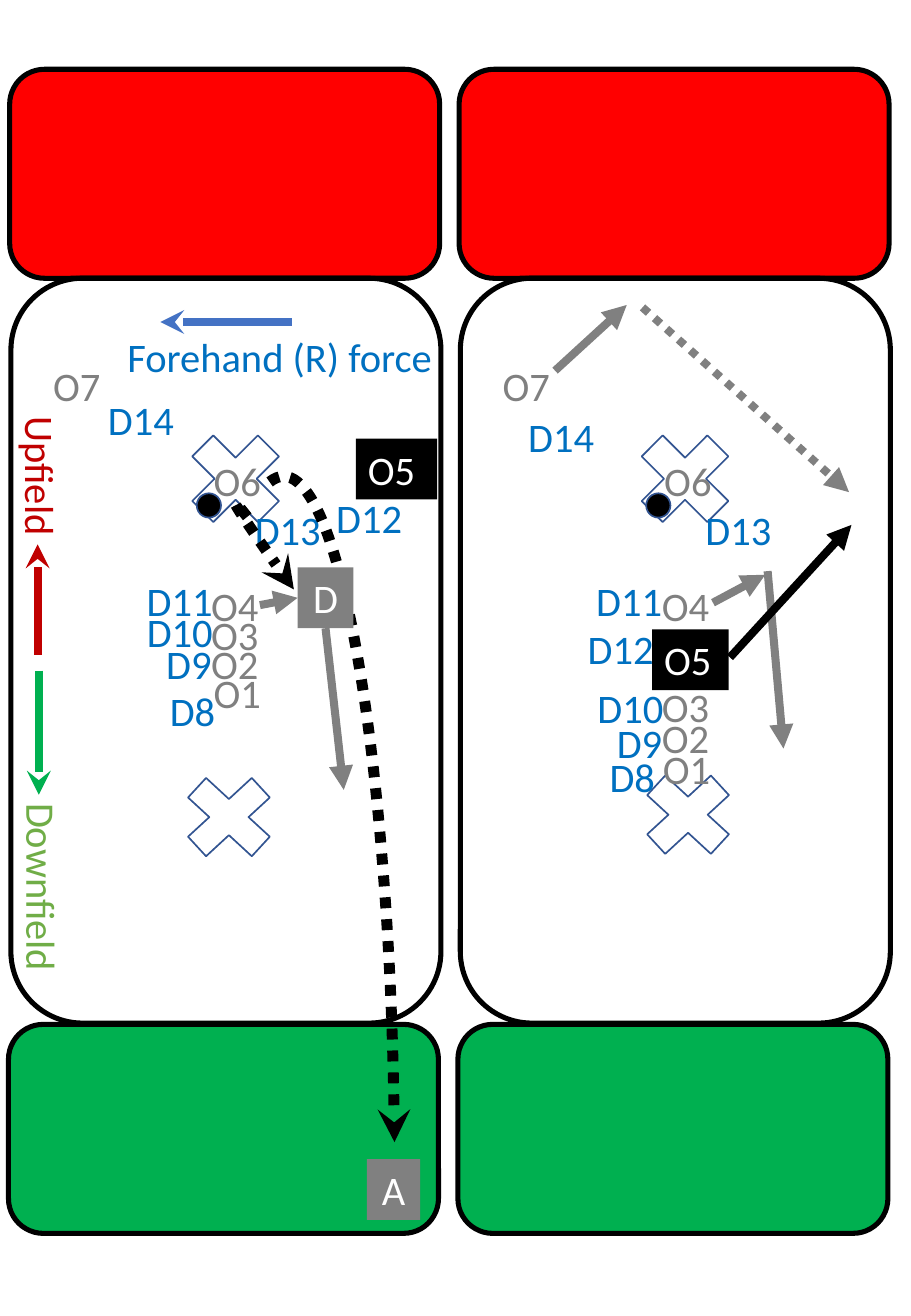
from lxml import etree
from pptx import Presentation
from pptx import util as u
from pptx.dml.color import RGBColor
from pptx.enum import dml, shapes, text
from pptx.oxml.ns import qn

PX = 9144  # EMU per px, 100 px to the inch
BLACK = RGBColor(0x00, 0x00, 0x00)
WHITE = RGBColor(0xFF, 0xFF, 0xFF)
GREY = RGBColor(0x80, 0x80, 0x80)
RED = RGBColor(0xFF, 0x00, 0x00)
DARK_RED = RGBColor(0xC0, 0x00, 0x00)
GREEN = RGBColor(0x00, 0xB0, 0x50)
LIGHT_GREEN = RGBColor(0x70, 0xAD, 0x47)
BLUE = RGBColor(0x00, 0x70, 0xC0)
ARROW_BLUE = RGBColor(0x44, 0x72, 0xC4)
OUTLINE_BLUE = RGBColor(0x32, 0x54, 0x91)

LABEL_HEIGHT = 50
PANEL_SHIFT = 370
KIND = shapes.MSO_SHAPE

deck = Presentation()
deck.slide_width, deck.slide_height = 750 * PX, 1083 * PX
page = deck.slides.add_slide(deck.slide_layouts[6])


def add_label(wording, left, top, width, color, fill=None, centred=False):
    box = page.shapes.add_textbox(left * PX, top * PX, width * PX, LABEL_HEIGHT * PX)
    if fill is not None:
        box.fill.solid()
        box.fill.fore_color.rgb = fill
    frame = box.text_frame
    frame.text = wording
    frame.word_wrap = True
    frame.auto_size = text.MSO_AUTO_SIZE.SHAPE_TO_FIT_TEXT
    para = frame.paragraphs[0]
    if centred:
        para.alignment = text.PP_ALIGN.CENTER
    font = para.runs[0].font
    font.name, font.size, font.color.rgb = "Calibri", u.Pt(24), color
    return box


def style_arrow(arrow, color, width, head, dotted):
    arrow.line.color.rgb = color
    arrow.line.width = u.Pt(width)
    if dotted:
        arrow.line.dash_style = dml.MSO_LINE.ROUND_DOT
    outline = arrow._element.spPr.find(qn("a:ln"))
    etree.SubElement(outline, qn("a:tailEnd")).set("type", head)


# Player labels: wording, left, top, width
left_players = [
    ("O2", 164, 521, 79), ("O1", 166, 545, 63), ("O3", 164, 497, 79),
    ("O4", 164, 473, 85), ("O6", 166, 370, 92), ("O7", 34, 292, 83),
    ("D8", 130, 560, 79), ("D9", 127, 521, 79), ("D10", 111, 495, 75),
    ("D11", 111, 469, 77), ("D12", 267, 401, 77), ("D13", 200, 411, 80),
    ("D14", 79, 320, 104),
]
right_players = [
    ("O2", 535, 582, 79), ("O1", 536, 607, 63), ("O3", 535, 556, 79),
    ("O4", 535, 473, 85), ("O6", 537, 370, 92), ("O7", 404, 292, 83),
    ("D8", 492, 614, 79), ("D9", 498, 586, 79), ("D10", 482, 557, 75),
    ("D11", 481, 469, 77), ("D12", 474, 509, 77), ("D13", 571, 411, 80),
    ("D14", 425, 334, 104),
]

# Two fields: end zones, playing area, brick marks, disc and players
for shift, brick_left, brick_top, players in (
    (0, 138, 626, left_players),
    (PANEL_SHIFT, 516, 624, right_players),
):
    field_parts = [
        (KIND.ROUNDED_RECTANGLE, 7 + shift, 843, 354, 172, GREEN, BLACK, 3),
        (KIND.ROUNDED_RECTANGLE, 8 + shift, 57, 354, 172, RED, BLACK, 3),
        (KIND.ROUNDED_RECTANGLE, 9 + shift, 229, 354, 613, None, BLACK, 3),
        (KIND.MATH_MULTIPLY, brick_left, brick_top, 101, 93, None, OUTLINE_BLUE, 1),
        (KIND.MATH_MULTIPLY, 142 + shift, 342, 104, 104, None, OUTLINE_BLUE, 1),
        (KIND.OVAL, 162 + shift, 406, 20, 20, BLACK, OUTLINE_BLUE, 1),
    ]
    for kind, left, top, width, height, fill, outline, weight in field_parts:
        part = page.shapes.add_shape(kind, left * PX, top * PX, width * PX, height * PX)
        part.shadow.inherit = False
        if fill is None:
            part.fill.background()
        else:
            part.fill.solid()
            part.fill.fore_color.rgb = fill
        part.line.color.rgb = outline
        part.line.width = u.Pt(weight)
    for name, left, top, width in players:
        add_label(name, left, top, width, GREY if name.startswith("O") else BLUE)

# Force and direction labels
add_label("Forehand (R) force", 95, 268, 284, BLUE)
add_label("Upfield", -33, 375, 134, DARK_RED).rotation = 90
add_label("Downfield", -51, 712, 172, LIGHT_GREEN).rotation = 90

# Curved throws
for left, top, width, height, turn, flipped in (
    (142, 392, 183, 1171, 0, False),
    (242, 397, 5, 175, 324.1, True),
):
    throw = page.shapes.add_shape(KIND.ARC, left * PX, top * PX, width * PX, height * PX)
    throw.shadow.inherit = False
    throw.fill.background()
    throw.adjustments[0], throw.adjustments[1] = 161.32, 202.58
    throw.rotation = turn
    if flipped:
        throw._element.spPr.find(qn("a:xfrm")).set("flipH", "1")
    style_arrow(throw, BLACK, 6.5, "stealth", True)

# Highlighted players and targets
add_label("A", 302, 954, 44, WHITE, GREY, True)
add_label("O5", 293, 361, 67, WHITE, BLACK)
add_label("D", 245, 467, 46, WHITE, GREY, True)
add_label("O5", 537, 518, 63, WHITE, BLACK)

# Straight arrows: start, end, colour, head, dotted
for start, end, color, head, dotted in (
    ((240, 265), (132, 265), ARROW_BLUE, "stealth", False),
    ((457, 305), (516, 251), GREY, "triangle", False),
    ((529, 253), (699, 405), GREY, "triangle", True),
    ((587, 496), (630, 473), GREY, "triangle", False),
    ((632, 470), (645, 616), GREY, "triangle", False),
    ((601, 541), (701, 432), BLACK, "triangle", False),
    ((214, 498), (245, 492), GREY, "triangle", False),
    ((268, 517), (283, 650), GREY, "triangle", False),
    ((32, 552), (32, 654), GREEN, "stealth", False),
    ((31, 539), (31, 448), DARK_RED, "stealth", False),
):
    ends = [length * PX for length in start + end]
    arrow = page.shapes.add_connector(shapes.MSO_CONNECTOR.STRAIGHT, *ends)
    style_arrow(arrow, color, 4.75, head, dotted)
    etree.SubElement(arrow._element.spPr, qn("a:effectLst"))

deck.save("out.pptx")
